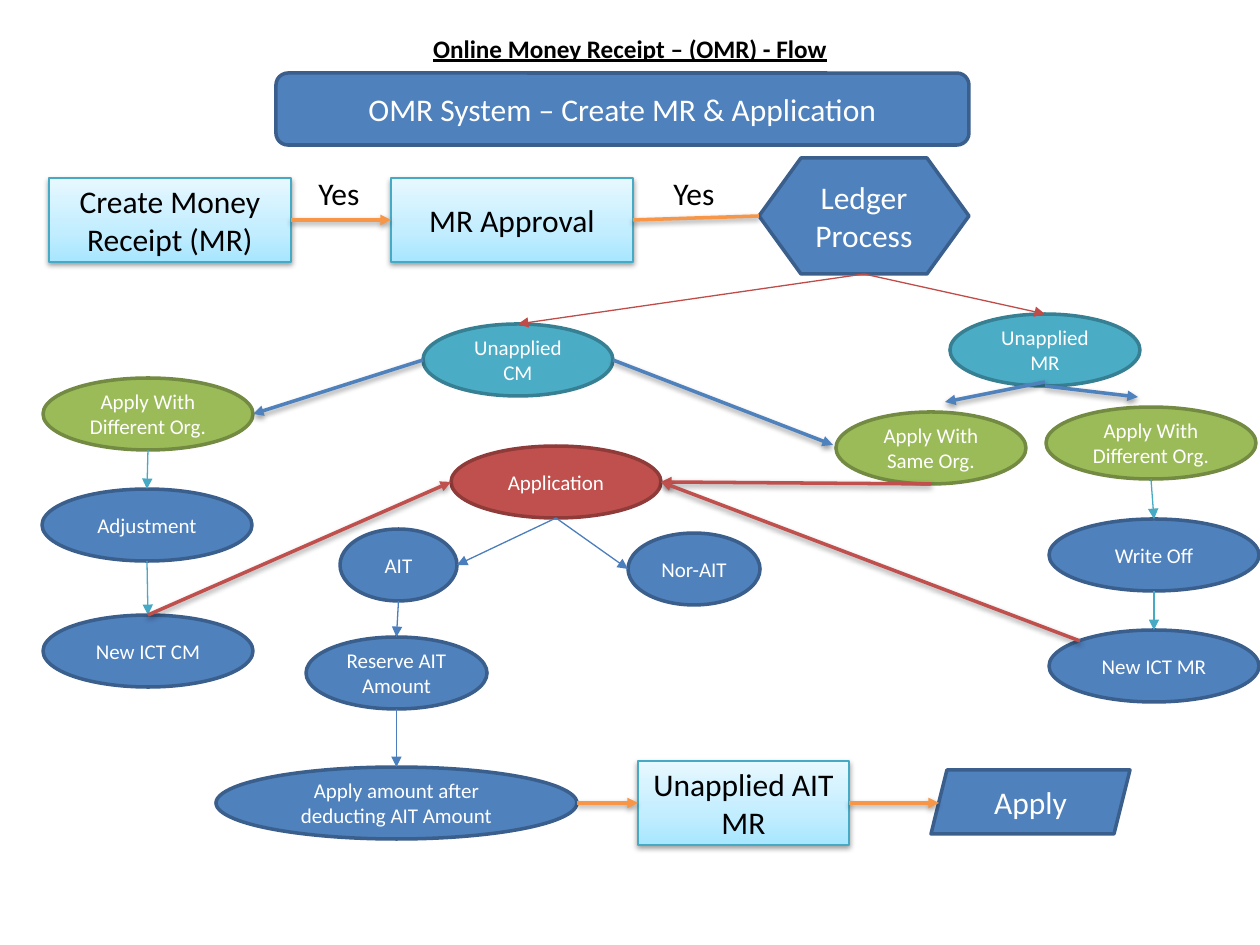
import copy
import lxml.etree
import pptx
import pptx.dml.color
import pptx.enum.shapes
import pptx.enum.text
import pptx.oxml
import pptx.oxml.ns
import pptx.util

RGB = pptx.dml.color.RGBColor
SHAPE = pptx.enum.shapes.MSO_SHAPE
ALIGN = pptx.enum.text.PP_ALIGN
ANCHOR = pptx.enum.text.MSO_ANCHOR
qn = pptx.oxml.ns.qn

PX = 914400 / 126
FONT = "Calibri"
TOP, LEFT, BOTTOM, RIGHT = range(4)
JOINABLE = (SHAPE.RECTANGLE, SHAPE.FLOWCHART_PREPARATION)

BLACK = RGB(0x00, 0x00, 0x00)
WHITE = RGB(0xFF, 0xFF, 0xFF)
BLUE = RGB(0x4F, 0x81, 0xBD)
BLUE_EDGE = RGB(0x3A, 0x5F, 0x8C)
BLUE_THIN = RGB(0x4B, 0x7E, 0xBC)
TEAL = RGB(0x4B, 0xAC, 0xC6)
TEAL_EDGE = RGB(0x37, 0x7F, 0x92)
TEAL_THIN = RGB(0x46, 0xAA, 0xC5)
GREEN = RGB(0x9B, 0xBB, 0x59)
GREEN_EDGE = RGB(0x73, 0x8A, 0x42)
RED = RGB(0xC0, 0x50, 0x4D)
RED_EDGE = RGB(0x8E, 0x3B, 0x39)
RED_THIN = RGB(0xBF, 0x4C, 0x48)
ORANGE = RGB(0xF7, 0x96, 0x46)
ICE_DARK = RGB(0xA7, 0xE6, 0xFF)
ICE_MIDDLE = RGB(0xC1, 0xED, 0xFF)
ICE_LIGHT = RGB(0xE7, 0xF8, 0xFF)

SHADOW = (
    '<a:effectLst xmlns:a="http://schemas.openxmlformats.org/drawingml/2006/main">'
    '<a:outerShdw blurRad="40000" dist="20000" dir="5400000" rotWithShape="0">'
    '<a:srgbClr val="000000"><a:alpha val="38000"/></a:srgbClr>'
    '</a:outerShdw></a:effectLst>'
)


def emu(pixels):
    return round(pixels * PX)


def set_text(box, text, size, color, align=ALIGN.CENTER, anchor=ANCHOR.MIDDLE):
    frame = box.text_frame
    frame.text = text
    frame.word_wrap = True
    frame.vertical_anchor = anchor
    para = frame.paragraphs[0]
    para.alignment = align
    font = para.runs[0].font
    font.name = FONT
    font.size = pptx.util.Pt(size)
    font.color.rgb = color
    return font


def add_title(page, text):
    title = page.shapes.title
    title.left, title.top, title.width, title.height = map(emu, (63, 33, 1134, 30))
    font = set_text(title, text, 14.4, BLACK)
    font.bold = True
    font.underline = True


def add_label(page, text, bounds):
    box = page.shapes.add_textbox(*map(emu, bounds))
    set_text(box, text, 18, BLACK, ALIGN.LEFT, ANCHOR.TOP)


def add_node(page, kind, text, bounds, fill=BLUE, edge=BLUE_EDGE, size=18):
    node = page.shapes.add_shape(kind, *map(emu, bounds))
    node.shadow.inherit = False
    node.fill.solid()
    node.fill.fore_color.rgb = fill
    node.line.color.rgb = edge
    node.line.width = pptx.util.Pt(2)
    set_text(node, text, size, WHITE)
    return node


def add_oval(page, text, bounds, fill=BLUE, edge=BLUE_EDGE):
    return add_node(page, SHAPE.OVAL, text, bounds, fill, edge, 12)


def add_step(page, text, bounds):
    step = page.shapes.add_shape(SHAPE.RECTANGLE, *map(emu, bounds))
    step.fill.gradient()
    step.fill.gradient_angle = 90
    first, last = step.fill.gradient_stops
    first.color.rgb, first.position = ICE_MIDDLE, 0.35
    stops = step._element.spPr.find(".//" + qn("a:gsLst"))
    stops.insert(0, copy.deepcopy(stops[0]))
    first = step.fill.gradient_stops[0]
    first.color.rgb, first.position = ICE_DARK, 0
    last.color.rgb, last.position = ICE_LIGHT, 1
    step.line.color.rgb = TEAL_THIN
    step.line.width = pptx.util.Pt(0.75)
    step._element.spPr.append(pptx.oxml.parse_xml(SHADOW))
    set_text(step, text, 18, BLACK)
    return step


def locate(end):
    if not isinstance(end[0], pptx.shapes.autoshape.Shape):
        return tuple(map(emu, end))
    node, side = end
    across = {LEFT: 0, RIGHT: 1}.get(side, 0.5)
    down = {TOP: 0, BOTTOM: 1}.get(side, 0.5)
    return round(node.left + node.width * across), round(node.top + node.height * down)


def can_join(end):
    return isinstance(end[0], pptx.shapes.autoshape.Shape) and end[0].auto_shape_type in JOINABLE


def add_link(page, start, end, color, thick=False, arrow=True):
    straight = pptx.enum.shapes.MSO_CONNECTOR.STRAIGHT
    link = page.shapes.add_connector(straight, *locate(start), *locate(end))
    if can_join(start):
        link.begin_connect(*start)
    if can_join(end):
        link.end_connect(*end)
    link.line.color.rgb = color
    link.line.width = pptx.util.Pt(2 if thick else 0.75)
    if arrow:
        line = link.line._get_or_add_ln()
        lxml.etree.SubElement(line, qn("a:tailEnd"), type="triangle")
    properties = link._element.spPr
    if thick:
        properties.append(pptx.oxml.parse_xml(SHADOW))
    else:
        lxml.etree.SubElement(properties, qn("a:effectLst"))


def main():
    deck = pptx.Presentation()
    deck.slide_width, deck.slide_height = emu(1260), emu(945)
    page = deck.slides.add_slide(deck.slide_layouts[5])

    add_title(page, "Online Money Receipt – (OMR) - Flow")
    add_node(page, SHAPE.ROUNDED_RECTANGLE, "OMR System – Create MR & Application", (276, 73, 693, 72))
    create = add_step(page, "Create Money Receipt (MR)", (49, 178, 242, 84))
    approval = add_step(page, "MR Approval", (391, 178, 242, 84))
    add_label(page, "Yes", (306, 168, 77, 50))
    add_label(page, "Yes", (661, 168, 97, 50))
    process = add_node(page, SHAPE.FLOWCHART_PREPARATION, "Ledger Process", (759, 158, 210, 116))

    unapplied_cm = add_oval(page, "Unapplied CM", (423, 324, 190, 72), TEAL, TEAL_EDGE)
    unapplied_mr = add_oval(page, "Unapplied MR", (950, 314, 190, 72), TEAL, TEAL_EDGE)
    same_org = add_oval(page, "Apply With Same Org.", (836, 412, 190, 72), GREEN, GREEN_EDGE)
    other_mr = add_oval(page, "Apply With Different Org.", (1046, 407, 210, 72), GREEN, GREEN_EDGE)
    other_cm = add_oval(page, "Apply With Different Org.", (43, 378, 210, 72), GREEN, GREEN_EDGE)
    application = add_oval(page, "Application", (451, 446, 210, 72), RED, RED_EDGE)

    adjustment = add_oval(page, "Adjustment", (42, 489, 210, 72))
    new_cm = add_oval(page, "New ICT CM", (43, 615, 210, 72))
    write_off = add_oval(page, "Write Off", (1049, 519, 210, 72))
    new_mr = add_oval(page, "New ICT MR", (1049, 630, 210, 72))
    ait = add_oval(page, "AIT", (340, 529, 117, 72))
    nor_ait = add_oval(page, "Nor-AIT", (628, 533, 132, 72))
    reserve = add_oval(page, "Reserve AIT Amount", (306, 637, 181, 72))
    deduct = add_oval(page, "Apply amount after deducting AIT Amount", (216, 767, 361, 72))
    unapplied_ait = add_step(page, "Unapplied AIT MR", (638, 761, 211, 84))
    add_node(page, SHAPE.PARALLELOGRAM, "Apply", (931, 770, 199, 64))

    add_link(page, (create, RIGHT), (approval, LEFT), ORANGE, True)
    add_link(page, (approval, RIGHT), (process, LEFT), ORANGE, True, False)
    add_link(page, (deduct, RIGHT), (unapplied_ait, LEFT), ORANGE, True)
    add_link(page, (unapplied_ait, RIGHT), (939, 803), ORANGE, True)

    for target in (unapplied_mr, unapplied_cm):
        add_link(page, (process, BOTTOM), (target, TOP), RED_THIN)

    add_link(page, (unapplied_cm, LEFT), (other_cm, RIGHT), BLUE, True)
    add_link(page, (unapplied_cm, RIGHT), (833, 445), BLUE, True)
    add_link(page, (1045, 382), (945, 402), BLUE, True)
    add_link(page, (unapplied_mr, BOTTOM), (1138, 397), BLUE, True)

    for upper, lower, color in (
        (other_cm, adjustment, TEAL_THIN),
        (adjustment, new_cm, TEAL_THIN),
        (other_mr, write_off, TEAL_THIN),
        (write_off, new_mr, TEAL_THIN),
        (ait, reserve, BLUE_THIN),
        (reserve, deduct, BLUE_THIN),
    ):
        add_link(page, (upper, BOTTOM), (lower, TOP), color)

    add_link(page, (application, BOTTOM), (ait, RIGHT), BLUE_THIN)
    add_link(page, (application, BOTTOM), (nor_ait, LEFT), BLUE_THIN)

    add_link(page, (same_org, BOTTOM), (application, RIGHT), RED, True)
    add_link(page, (1080, 641), (application, RIGHT), RED, True)
    add_link(page, (new_cm, TOP), (application, LEFT), RED, True)

    deck.save("out.pptx")


if __name__ == "__main__":
    main()
